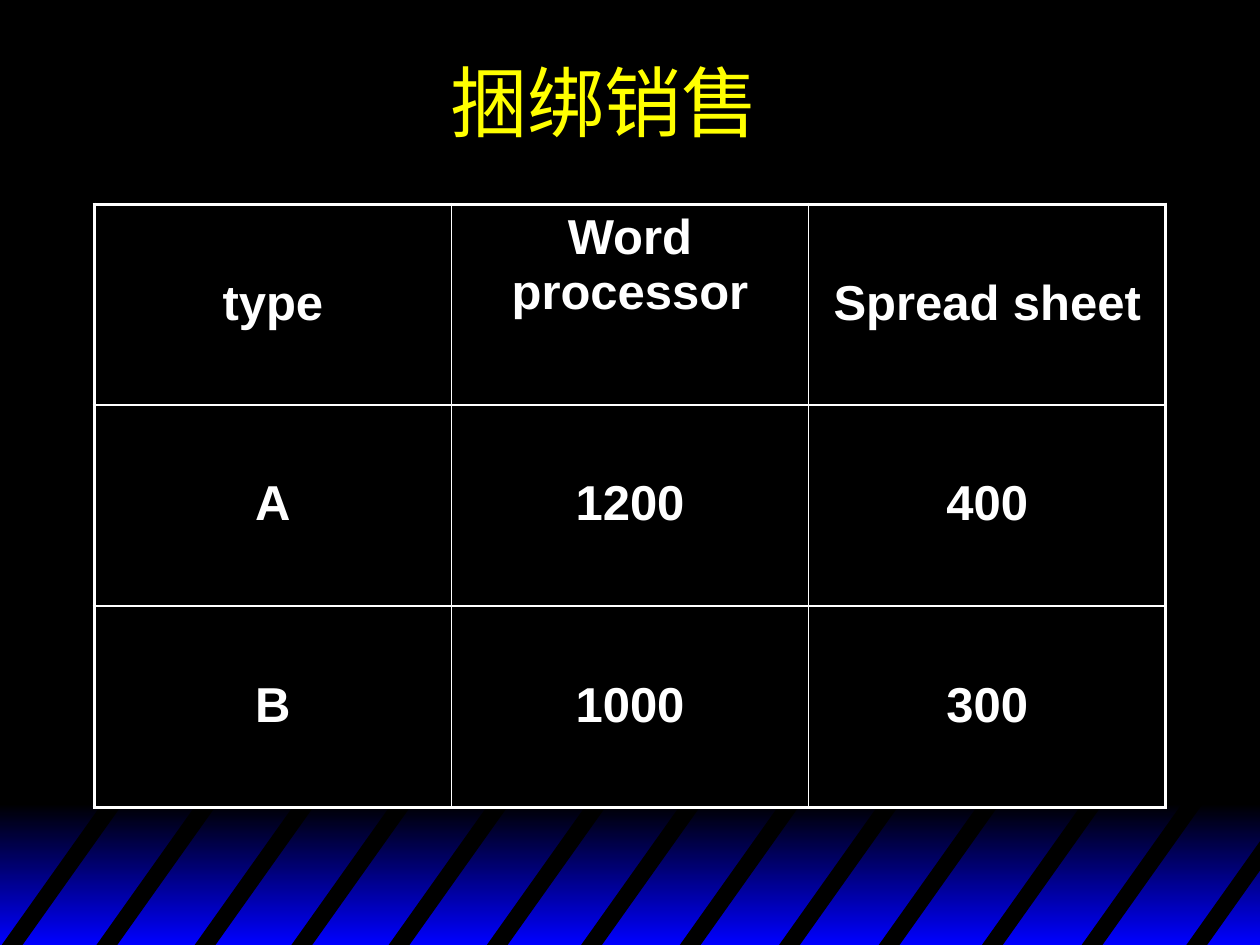
from lxml import etree
from pptx import Presentation
from pptx.dml.color import RGBColor
from pptx.enum.shapes import MSO_SHAPE
from pptx.enum.text import MSO_ANCHOR, PP_ALIGN
from pptx.oxml.ns import qn
from pptx.util import Cm, Pt

RECTANGLE = MSO_SHAPE.RECTANGLE
MIDDLE, TOP = MSO_ANCHOR.MIDDLE, MSO_ANCHOR.TOP
CENTER = PP_ALIGN.CENTER

BLACK, WHITE, YELLOW, BLUE = "000000", "FFFFFF", "FFFF00", "0000FF"
PAGE_WIDTH, PAGE_HEIGHT = 25.4, 19.05
TITLE_FORMAT = {"name": "Times New Roman", "size": Pt(44), "bold": False}
CELL_FORMAT = {"name": "Arial", "size": Pt(28), "bold": True}
THIN, THICK = Pt(1), Pt(2.25)

# Stripes: left foot of each, then the shape they share
STRIPE_LEFTS = [0, 1.91, 3.89, 5.84, 7.8, 9.78, 11.68, 13.67, 15.67,
                17.68, 19.76, 21.77, 23.88]
STRIPE_TOP, STRIPE_BOTTOM = 16.1, 19.1
STRIPE_LEAN, STRIPE_WIDTH = 2.13, 0.42

ROWS = [
    ["type", "Word processor", "Spread sheet"],
    ["A", "1200", "400"],
    ["B", "1000", "300"],
]
ROW_HEIGHTS = [4.04, 4.06, 4.06]


def color(value):
    return RGBColor.from_string(value)


class PageBuilder:
    """Holds the style and the current slide."""

    def __init__(self, page):
        self.page = page
        background = page.background.fill
        background.solid()
        background.fore_color.rgb = color(BLACK)

    def add_text(self, frame, text, format_values, text_color):
        para = frame.paragraphs[0]
        para.alignment = CENTER
        span = para.add_run()
        span.text = text
        for name, value in format_values.items():
            setattr(span.font, name, value)
        span.font.color.rgb = color(text_color)

    def gradient_band(self, left, top, width, height, start, end):
        band = self.page.shapes.add_shape(
            RECTANGLE, Cm(left), Cm(top), Cm(width), Cm(height))
        band.shadow.inherit = False
        band.line.fill.background()
        band.fill.gradient()
        band.fill.gradient_angle = 270
        for stop, value in zip(band.fill.gradient_stops, (start, end)):
            stop.color.rgb = color(value)

    def polygon(self, points, fill):
        corners = [(Cm(x), Cm(y)) for x, y in points]
        builder = self.page.shapes.build_freeform(*corners[0])
        builder.add_line_segments(corners[1:], close=True)
        shape = builder.convert_to_shape()
        shape.shadow.inherit = False
        shape.fill.solid()
        shape.fill.fore_color.rgb = color(fill)
        shape.line.fill.background()

    def stripe(self, left):
        right = left + STRIPE_WIDTH
        slope = (STRIPE_BOTTOM - STRIPE_TOP) / STRIPE_LEAN

        def upper_end(foot):
            lean = min(STRIPE_LEAN, PAGE_WIDTH - foot)
            return foot + lean, STRIPE_BOTTOM - lean * slope

        self.polygon([(left, STRIPE_BOTTOM), upper_end(left),
                      upper_end(right), (right, STRIPE_BOTTOM)], BLACK)

    def title(self, text, left, top, width, height):
        box = self.page.shapes.add_textbox(
            Cm(left), Cm(top), Cm(width), Cm(height))
        box.text_frame.word_wrap = True
        box.text_frame.vertical_anchor = MIDDLE
        self.add_text(box.text_frame, text, TITLE_FORMAT, YELLOW)

    def border(self, cell, side, width):
        properties = cell._tc.get_or_add_tcPr()
        line = etree.SubElement(properties, qn(f"a:ln{side}"), w=str(width))
        fill = etree.SubElement(line, qn("a:solidFill"))
        etree.SubElement(fill, qn("a:srgbClr"), val=WHITE)

    def table(self, rows, heights, left, top, width):
        row_count, column_count = len(rows), len(rows[0])
        table = self.page.shapes.add_table(
            row_count, column_count, Cm(left), Cm(top),
            Cm(width), Cm(sum(heights))).table
        table.first_row = table.horz_banding = False
        for row, height in zip(table.rows, heights):
            row.height = Cm(height)
        for r, texts in enumerate(rows):
            for c, text in enumerate(texts):
                cell = table.cell(r, c)
                # Outer edges are thick, inner ones thin
                outer = {"L": c == 0, "R": c == column_count - 1,
                         "T": r == 0, "B": r == row_count - 1}
                for side, is_outer in outer.items():
                    self.border(cell, side, THICK if is_outer else THIN)
                cell.fill.background()
                cell.vertical_anchor = MIDDLE
                cell.margin_bottom = Cm(0.19)
                self.add_text(cell.text_frame, text, CELL_FORMAT, WHITE)
        return table


def main():
    deck = Presentation()
    deck.slide_width, deck.slide_height = Cm(PAGE_WIDTH), Cm(PAGE_HEIGHT)
    builder = PageBuilder(deck.slides.add_slide(deck.slide_layouts[6]))

    # Striped band at the foot
    builder.gradient_band(0, 16.2, PAGE_WIDTH, 2.85, BLACK, BLUE)
    for left in STRIPE_LEFTS:
        builder.stripe(left)

    # Title
    builder.title("捆绑销售", 2.11, 0.97, 20.17, 2.11)

    # Price table; the two-line heading sits at the top of its cell
    prices = builder.table(ROWS, ROW_HEIGHTS, 1.9, 4.12, 21.6)
    prices.cell(0, 1).vertical_anchor = TOP

    deck.save("out.pptx")


if __name__ == "__main__":
    main()
